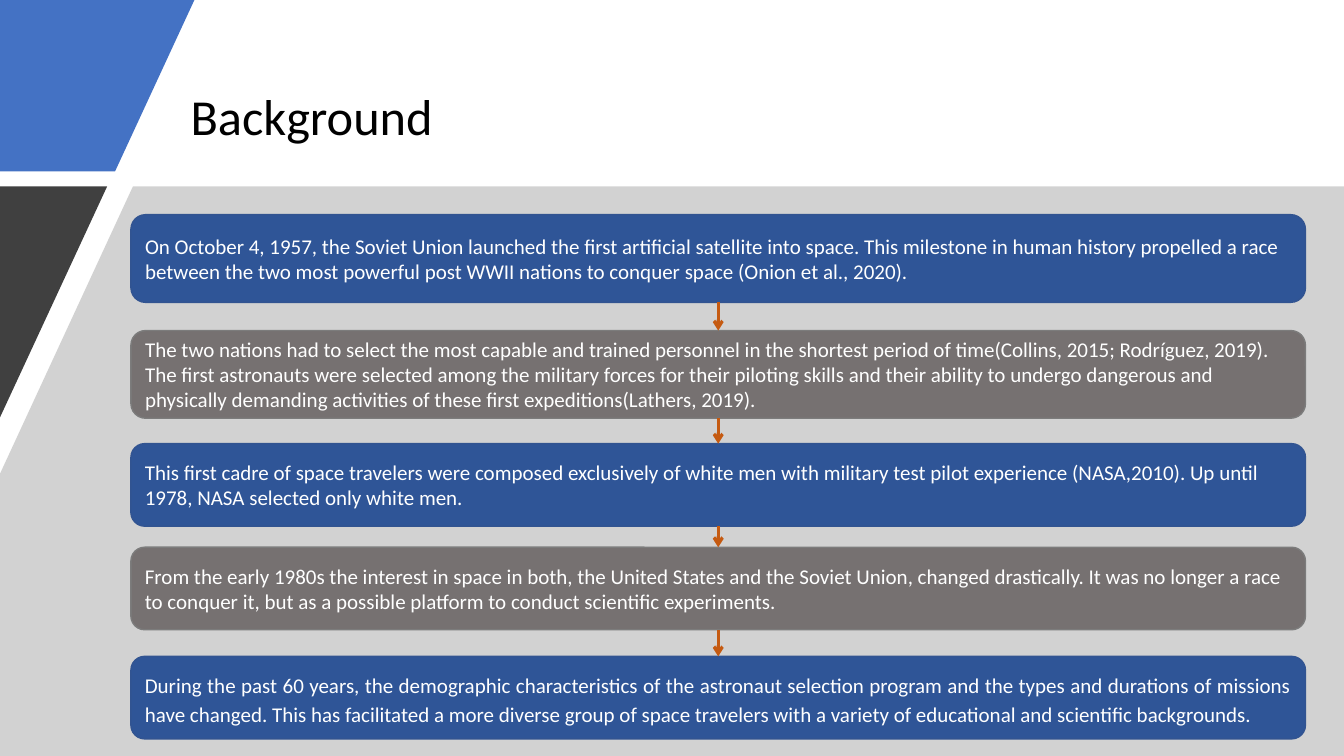
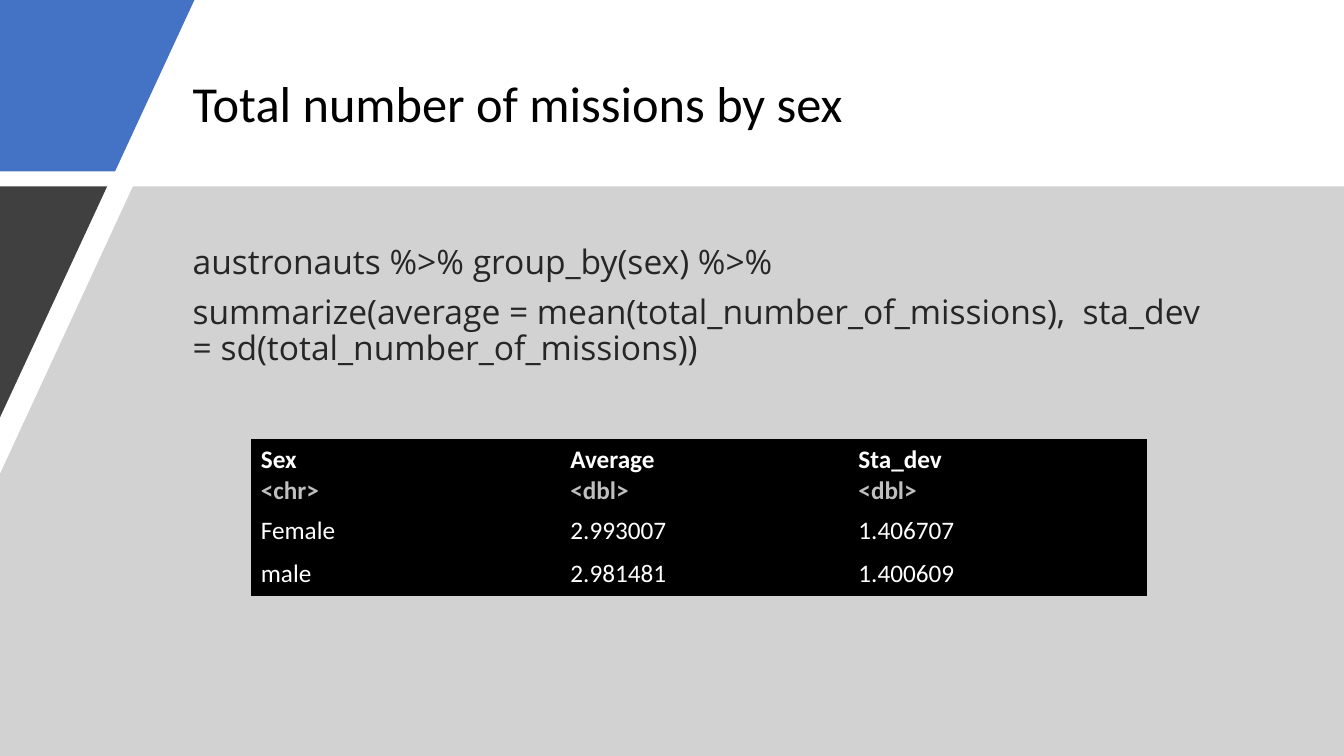
from pptx import Presentation
from pptx.dml.color import RGBColor
from pptx.enum.shapes import MSO_CONNECTOR, MSO_SHAPE
from pptx.enum.text import MSO_ANCHOR, MSO_AUTO_SIZE, PP_ALIGN
from pptx.oxml.ns import qn
from pptx.oxml.xmlchemy import OxmlElement
from pptx.util import Cm, Pt

# Content
BACKGROUND_STEPS = [
    "On October 4, 1957, the Soviet Union launched the first artificial satellite into space. "
    "This milestone in human history propelled a race between the two most powerful post WWII "
    "nations to conquer space (Onion et al., 2020).",
    "The two nations had to select the most capable and trained personnel in the shortest period "
    "of time(Collins, 2015; Rodríguez, 2019). The first astronauts were selected among the "
    "military forces for their piloting skills and their ability to undergo dangerous and "
    "physically demanding activities of these first expeditions(Lathers, 2019).",
    "This first cadre of space travelers were composed exclusively of white men with military "
    "test pilot experience (NASA,2010). Up until 1978, NASA selected only white men.",
    "From the early 1980s the interest in space in both, the United States and the Soviet Union, "
    "changed drastically. It was no longer a race to conquer it, but as a possible platform to "
    "conduct scientific experiments.",
    "During the past 60 years, the demographic characteristics of the astronaut selection program "
    "and the types and durations of missions have changed. This has facilitated a more diverse "
    "group of space travelers with a variety of educational and scientific backgrounds.",
]
CODE_LINES = [
    "austronauts %>% group_by(sex) %>%",
    "summarize(average = mean(total_number_of_missions),  sta_dev = sd(total_number_of_missions))",
]
TABLE_HEADER = [("Sex", "<chr>"), ("Average", "<dbl>"), ("Sta_dev", "<dbl>")]
TABLE_ROWS = [("Female", "2.993007", "1.406707"), ("male", "2.981481", "1.400609")]

# Shared look, lengths in cm
SLIDE_WIDTH, SLIDE_HEIGHT = 33.87, 19.05
PANEL_TOP = 4.7
BANDS = [  # colour, opacity in percent, corners
    ("4472C4", 100, [(0, 0), (4.9, 0), (2.9, 4.32), (0, 4.32)]),
    ("A6A6A6", 50, [(3.35, PANEL_TOP), (SLIDE_WIDTH, PANEL_TOP), (SLIDE_WIDTH, SLIDE_HEIGHT),
                    (0, SLIDE_HEIGHT), (0, 11.94)]),
    ("404040", 100, [(0, PANEL_TOP), (2.7, PANEL_TOP), (0, 10.52)]),
]
STEP_STYLES = [("2F5597", "325491"), ("767171", "7C7C7C")]  # fill, outline
STEP_PLACES = [(5.41, 2.21), (8.33, 2.21), (11.18, 2.08), (13.79, 2.08), (16.54, 2.08)]
STEP_LEFT, STEP_WIDTH = 3.3, 29.6


def color(hex_code):
    return RGBColor.from_string(hex_code)


def fill_solid(target, hex_code):
    target.fill.solid()
    target.fill.fore_color.rgb = color(hex_code)


def write(paragraph, text, size=18, font="Calibri", hex_code="FFFFFF", bold=False,
          align=PP_ALIGN.LEFT, line_spacing=None, space_before=0):
    paragraph.alignment = align
    paragraph.space_before = Pt(space_before)
    if line_spacing:
        paragraph.line_spacing = line_spacing
    run = paragraph.add_run()
    run.text = text
    run.font.size = Pt(size)
    run.font.name = font
    run.font.bold = bold
    run.font.color.rgb = color(hex_code)


def place(shape, left, top, width, height):
    shape.left, shape.top, shape.width, shape.height = map(Cm, (left, top, width, height))


def draw_bands(slide):
    for index, (hex_code, opacity, corners) in enumerate(BANDS):
        points = [(Cm(x), Cm(y)) for x, y in corners]
        builder = slide.shapes.build_freeform(*points[0])
        builder.add_line_segments(points[1:], close=True)
        band = builder.convert_to_shape()
        band.shadow.inherit = False
        fill_solid(band, hex_code)
        band.line.fill.background()
        if opacity < 100:
            alpha = OxmlElement("a:alpha")
            alpha.set("val", str(opacity * 1000))
            band._element.spPr.find(".//" + qn("a:srgbClr")).append(alpha)
        # Keep the bands behind the placeholders
        slide.shapes._spTree.insert(2 + index, band._element)


def add_slide(presentation, layout_index, title, title_place):
    slide = presentation.slides.add_slide(presentation.slide_layouts[layout_index])
    draw_bands(slide)
    place(slide.shapes.title, *title_place)
    frame = slide.shapes.title.text_frame
    frame.auto_size = MSO_AUTO_SIZE.NONE
    frame.vertical_anchor = MSO_ANCHOR.MIDDLE
    write(frame.paragraphs[0], title, size=36, hex_code="000000", line_spacing=0.9)
    return slide


def add_step(slide, index, text):
    top, height = STEP_PLACES[index]
    fill, outline = STEP_STYLES[index % 2]
    step = slide.shapes.add_shape(MSO_SHAPE.ROUNDED_RECTANGLE, Cm(STEP_LEFT), Cm(top),
                                  Cm(STEP_WIDTH), Cm(height))
    step.shadow.inherit = False
    fill_solid(step, fill)
    step.line.color.rgb = color(outline)
    step.line.width = Pt(1)
    frame = step.text_frame
    frame.word_wrap = True
    frame.vertical_anchor = MSO_ANCHOR.MIDDLE
    is_last = index == len(STEP_PLACES) - 1
    write(frame.paragraphs[0], text, size=15,
          align=PP_ALIGN.JUSTIFY if is_last else PP_ALIGN.LEFT,
          line_spacing=1.15 if is_last else None)
    return step


def add_arrow(slide, upper, lower):
    arrow = slide.shapes.add_connector(MSO_CONNECTOR.STRAIGHT, 0, 0, 0, 0)
    arrow.begin_connect(upper, 2)
    arrow.end_connect(lower, 0)
    arrow.line.color.rgb = color("C55A11")
    arrow.line.width = Pt(2.25)
    head = OxmlElement("a:tailEnd")
    head.set("type", "arrow")
    arrow.line._get_or_add_ln().append(head)
    arrow._element.spPr.append(OxmlElement("a:effectLst"))


def build_background(presentation):
    slide = add_slide(presentation, 5, "Background", (4.55, 1.35, 26, 3.3))
    steps = [add_step(slide, index, text) for index, text in enumerate(BACKGROUND_STEPS)]
    for upper, lower in zip(steps, steps[1:]):
        add_arrow(slide, upper, lower)


def add_code(body):
    place(body, 4.6, 6.05, 26, 11.23)
    frame = body.text_frame
    frame.auto_size = MSO_AUTO_SIZE.NONE
    for index, text in enumerate(CODE_LINES):
        paragraph = frame.add_paragraph() if index else frame.paragraphs[0]
        properties = paragraph._p.get_or_add_pPr()
        properties.set("marL", "0")
        properties.set("indent", "0")
        properties.append(OxmlElement("a:buNone"))
        write(paragraph, text, size=24, font="Open Sans", hex_code="262626",
              line_spacing=0.9, space_before=10 if index else 0)


def add_missions_table(slide):
    widths, heights = (7.8, 7.26, 7.52), (1.78, 1.07, 1.07)
    frame = slide.shapes.add_table(len(heights), len(widths), Cm(6.32), Cm(11.07),
                                   Cm(sum(widths)), Cm(sum(heights)))
    table = frame.table
    table.first_row = table.horz_banding = False
    # Plain table style without borders
    table._tbl.tblPr.find(qn("a:tableStyleId")).text = "{2D5ABB26-0587-4C30-8999-92F81FD0307C}"
    for column, width in zip(table.columns, widths):
        column.width = Cm(width)
    for row, height in zip(table.rows, heights):
        row.height = Cm(height)
    for cell in table.iter_cells():
        fill_solid(cell, "000000")
    for column, (name, kind) in enumerate(TABLE_HEADER):
        header = table.cell(0, column).text_frame
        write(header.paragraphs[0], name, bold=True)
        write(header.add_paragraph(), kind, bold=True, hex_code="BFBFBF")
    for row, values in enumerate(TABLE_ROWS, start=1):
        for column, value in enumerate(values):
            write(table.cell(row, column).text_frame.paragraphs[0], value)


def build_missions(presentation):
    slide = add_slide(presentation, 1, "Total number of missions by sex", (4.6, 1.02, 28.7, 3.3))
    add_code(slide.placeholders[1])
    add_missions_table(slide)


def main():
    presentation = Presentation()
    presentation.slide_width = Cm(SLIDE_WIDTH)
    presentation.slide_height = Cm(SLIDE_HEIGHT)
    build_background(presentation)
    build_missions(presentation)
    presentation.save("out.pptx")


if __name__ == "__main__":
    main()
